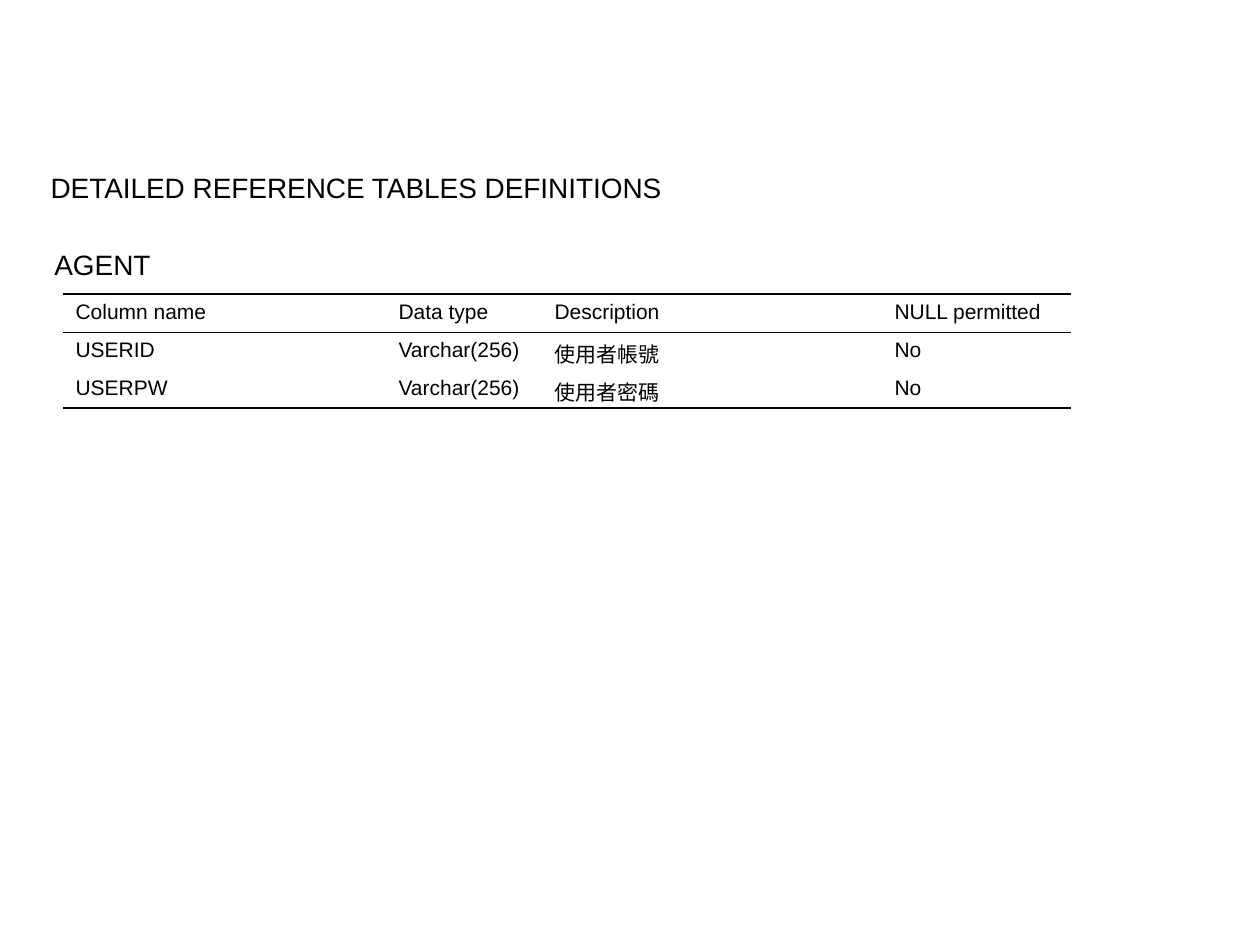
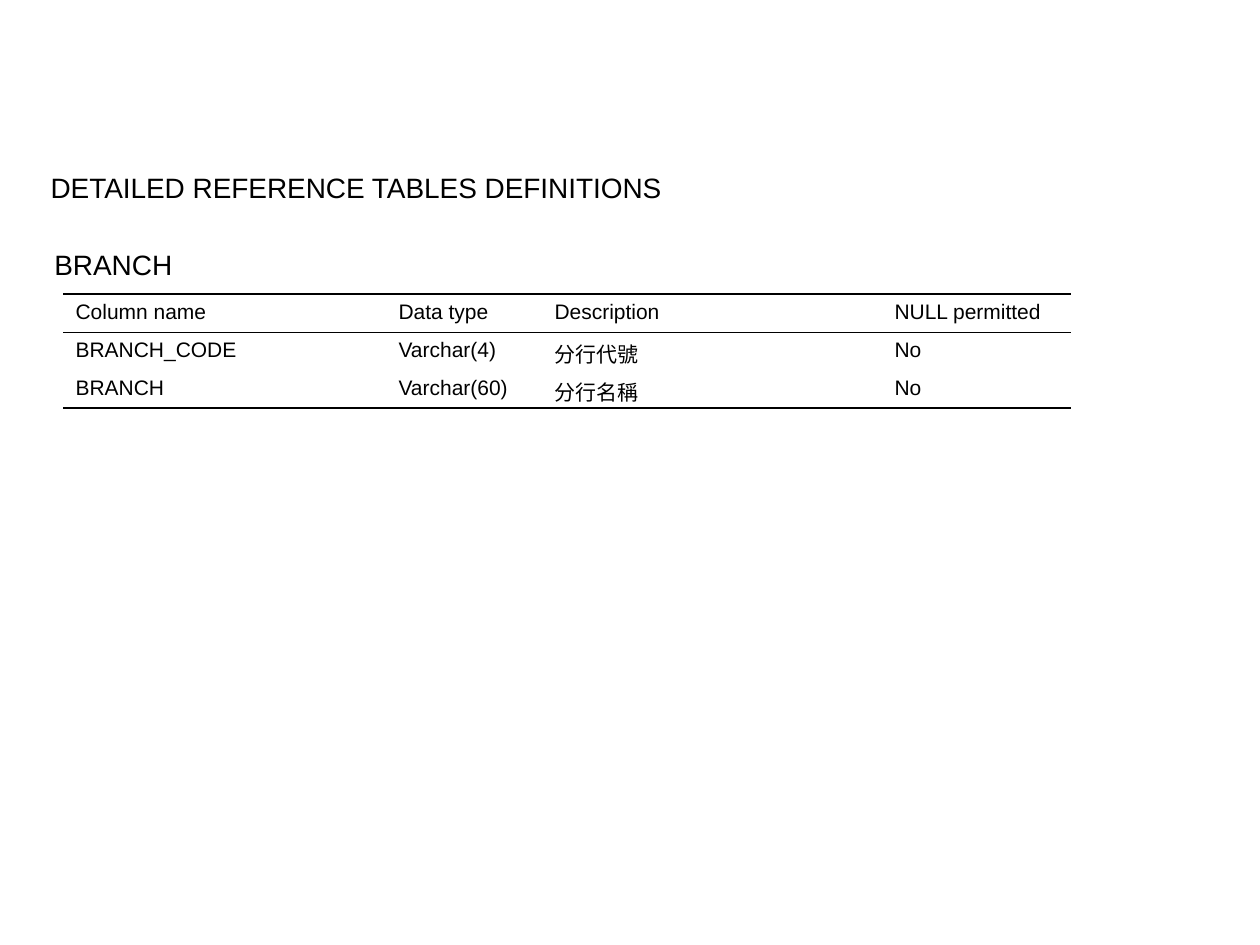
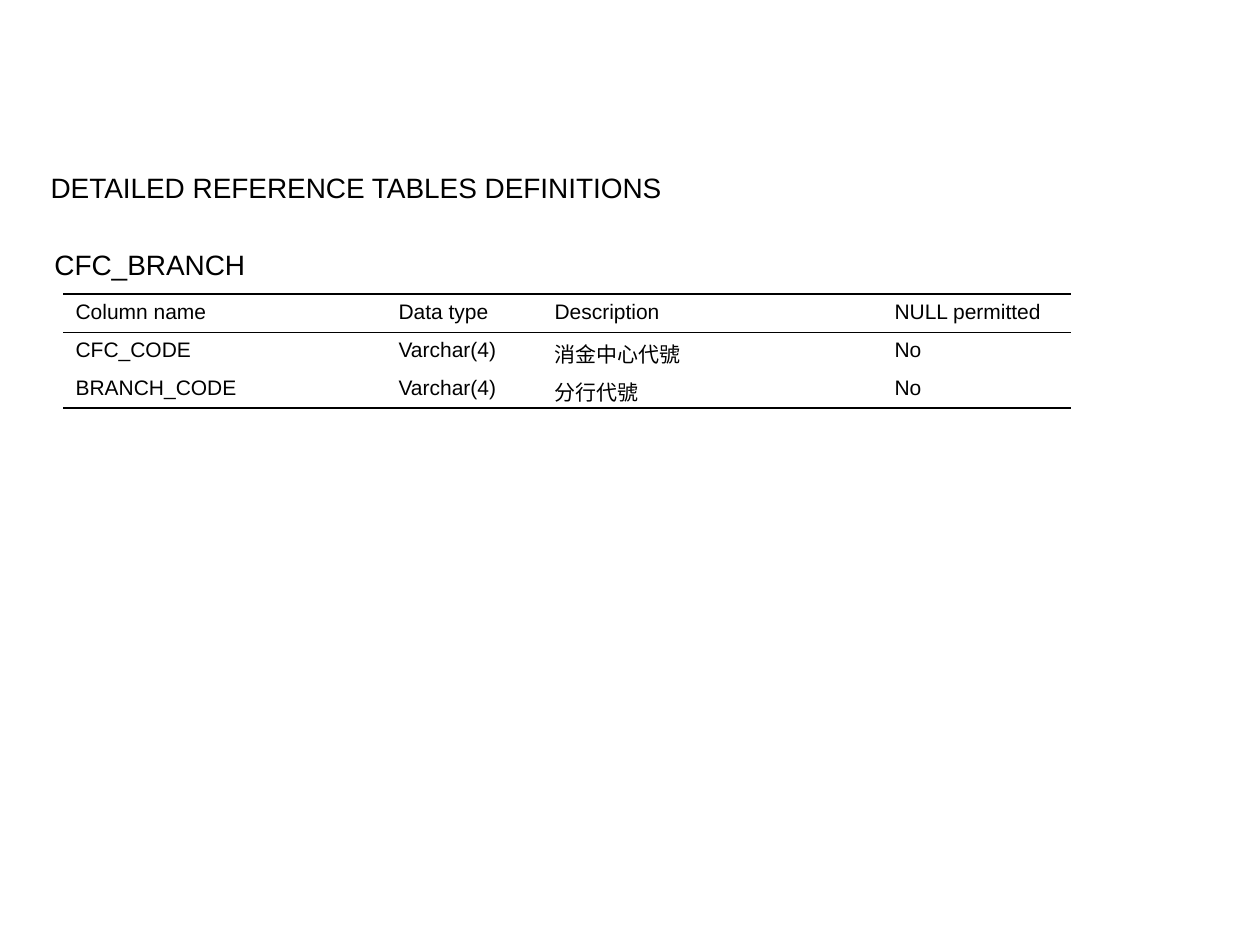
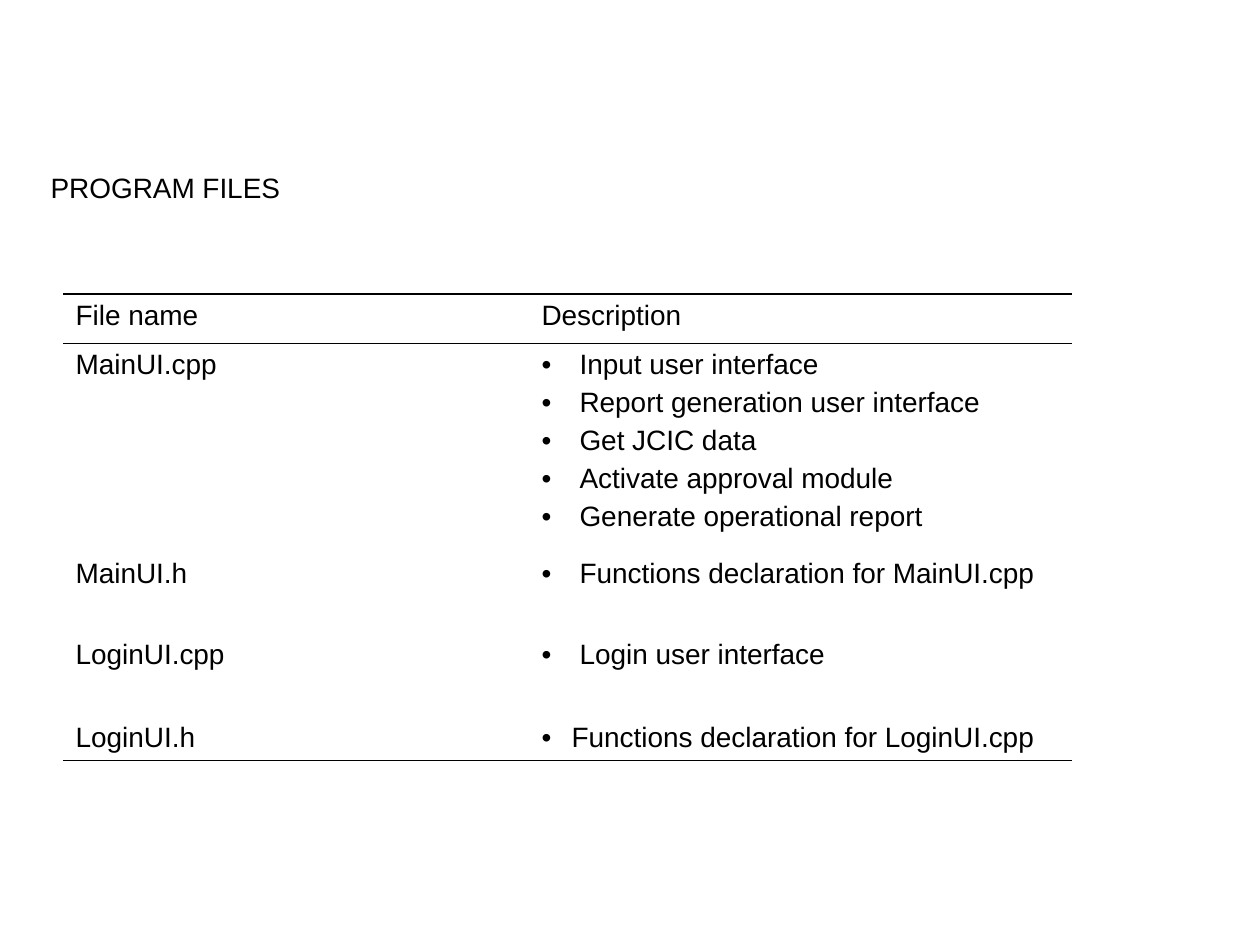
"""Build four slides of reference table and program file definitions."""
from lxml.etree import SubElement
from pptx import Presentation
from pptx.dml.color import RGBColor
from pptx.enum.text import MSO_ANCHOR, MSO_AUTO_SIZE, PP_ALIGN
from pptx.oxml.ns import qn
from pptx.util import Emu, Pt

REFERENCE_TITLE = "DETAILED REFERENCE TABLES DEFINITIONS"
REFERENCE_HEADER = ("Column name", "Data type", "Description", "NULL permitted")
REFERENCE_TABLES = [
    ("AGENT", [
        ("USERID", "Varchar(256)", "使用者帳號", "No"),
        ("USERPW", "Varchar(256)", "使用者密碼", "No"),
    ]),
    ("BRANCH", [
        ("BRANCH_CODE", "Varchar(4)", "分行代號", "No"),
        ("BRANCH", "Varchar(60)", "分行名稱", "No"),
    ]),
    ("CFC_BRANCH", [
        ("CFC_CODE", "Varchar(4)", "消金中心代號", "No"),
        ("BRANCH_CODE", "Varchar(4)", "分行代號", "No"),
    ]),
]
FILES_TITLE = "PROGRAM FILES"
FILES_HEADER = ("File name", "Description")
PROGRAM_FILES = [
    ("MainUI.cpp", [
        "Input user interface",
        "Report generation user interface",
        "Get JCIC data",
        "Activate approval module",
        "Generate operational report",
    ]),
    ("MainUI.h", ["Functions declaration for MainUI.cpp"]),
    ("LoginUI.cpp", ["Login user interface"]),
    ("LoginUI.h", ["Functions declaration for LoginUI.cpp"]),
]

FONT = "Arial"
INK = "000000"
TITLE_SIZE, REFERENCE_SIZE = 16, 12
OUTER_LINE, HEADER_LINE = 0.75, 0.45
PLAIN_TABLE_STYLE = "{2D5ABB26-0587-4C30-8999-92F81FD0307C}"

SLIDE_WIDTH, SLIDE_HEIGHT = 1260, 945
TITLE_BOX = (38, 164, 1170, 47)
HEADING_LEFT, HEADING_TOP, HEADING_HEIGHT = 42, 241, 47
HEADING_WIDTHS = {"AGENT": 126, "BRANCH": 148, "CFC_BRANCH": 221}
TABLE_LEFT, TABLE_TOP = 63, 294
REFERENCE_COLUMNS = (323, 156, 340, 189)
REFERENCE_ROW = 38
FILES_COLUMNS = (466, 543)
FILES_ROWS = (49, 209, 81, 81, 46)
BULLET_INDENT, LAST_BULLET_INDENT = 38, 30


def px(length):
    """Turn pixels into EMU."""
    return Emu(round(length * 914400 / 126))


def color(value):
    """Turn a hex string into a colour."""
    return RGBColor.from_string(value)


def add_text(paragraph, text, size):
    """Add one formatted run to a paragraph."""
    run = paragraph.add_run()
    run.text = text
    run.font.name = FONT
    run.font.size = Pt(size)
    run.font.bold = False
    run.font.color.rgb = color(INK)


def add_bullet(paragraph, indent):
    """Give a paragraph a hanging bullet."""
    properties = paragraph._p.get_or_add_pPr()
    properties.set("marL", str(px(indent)))
    properties.set("indent", str(-px(indent)))
    fill = SubElement(properties, qn("a:buClr"))
    SubElement(fill, qn("a:srgbClr"), val=INK)
    SubElement(properties, qn("a:buFont"), typeface=FONT)
    SubElement(properties, qn("a:buChar"), char="•")


def add_border(cell, side, width):
    """Draw one edge of a cell, or clear it when there is no width."""
    properties = cell._tc.get_or_add_tcPr()
    line = SubElement(properties, qn(f"a:{side}"), w=str(Pt(width)))
    if width:
        fill = SubElement(line, qn("a:solidFill"))
        SubElement(fill, qn("a:srgbClr"), val=INK)
    else:
        SubElement(line, qn("a:noFill"))


def add_titled_slide(presentation, title):
    """Add a slide with the shared title style."""
    slide = presentation.slides.add_slide(presentation.slide_layouts[5])
    shape = slide.shapes.title
    shape.left, shape.top, shape.width, shape.height = map(px, TITLE_BOX)
    frame = shape.text_frame
    frame.vertical_anchor = MSO_ANCHOR.TOP
    frame.auto_size = MSO_AUTO_SIZE.SHAPE_TO_FIT_TEXT
    paragraph = frame.paragraphs[0]
    paragraph.alignment = PP_ALIGN.LEFT
    add_text(paragraph, title, TITLE_SIZE)
    return slide


def add_heading(slide, name):
    """Add the name of a reference table."""
    box = slide.shapes.add_textbox(px(HEADING_LEFT), px(HEADING_TOP),
                                   px(HEADING_WIDTHS[name]), px(HEADING_HEIGHT))
    box.text_frame.word_wrap = True
    box.text_frame.auto_size = MSO_AUTO_SIZE.SHAPE_TO_FIT_TEXT
    add_text(box.text_frame.paragraphs[0], name, TITLE_SIZE)


def fill_cell(cell, content, size, indent):
    """Write a text, or a list of texts as bullets, into a cell."""
    frame = cell.text_frame
    if isinstance(content, str):
        add_text(frame.paragraphs[0], content, size)
        return
    for index, text in enumerate(content):
        paragraph = frame.add_paragraph() if index else frame.paragraphs[0]
        if index:
            paragraph.space_before = Pt(4)
        add_bullet(paragraph, indent)
        add_text(paragraph, text, size)


def add_ruled_table(slide, rows, widths, heights, size):
    """Add a table ruled above, below and under its header."""
    frame = slide.shapes.add_table(len(rows), len(widths), px(TABLE_LEFT), px(TABLE_TOP),
                                   px(sum(widths)), px(sum(heights)))
    table = frame.table
    table.first_row = table.horz_banding = False
    table._tbl.tblPr.find(qn("a:tableStyleId")).text = PLAIN_TABLE_STYLE
    for column, width in zip(table.columns, widths):
        column.width = px(width)
    last = len(rows) - 1
    rules = [OUTER_LINE, HEADER_LINE, *[0] * (last - 1), OUTER_LINE]
    for row_index, (row, height) in enumerate(zip(rows, heights)):
        table.rows[row_index].height = px(height)
        indent = LAST_BULLET_INDENT if row_index == last else BULLET_INDENT
        borders = {"lnL": 0, "lnR": 0, "lnT": rules[row_index], "lnB": rules[row_index + 1]}
        for column_index, content in enumerate(row):
            cell = table.cell(row_index, column_index)
            fill_cell(cell, content, size, indent)
            for side, width in borders.items():
                add_border(cell, side, width)
            cell.fill.background()
    return table


def main():
    """Build and save the presentation."""
    presentation = Presentation()
    presentation.slide_width = px(SLIDE_WIDTH)
    presentation.slide_height = px(SLIDE_HEIGHT)
    for name, columns in REFERENCE_TABLES:
        slide = add_titled_slide(presentation, REFERENCE_TITLE)
        add_heading(slide, name)
        rows = [REFERENCE_HEADER, *columns]
        add_ruled_table(slide, rows, REFERENCE_COLUMNS,
                        [REFERENCE_ROW] * len(rows), REFERENCE_SIZE)
    slide = add_titled_slide(presentation, FILES_TITLE)
    table = add_ruled_table(slide, [FILES_HEADER, *PROGRAM_FILES], FILES_COLUMNS,
                            FILES_ROWS, TITLE_SIZE)
    for cell in table.rows[len(PROGRAM_FILES)].cells:
        cell.vertical_anchor = MSO_ANCHOR.BOTTOM
    presentation.save("out.pptx")


if __name__ == "__main__":
    main()
